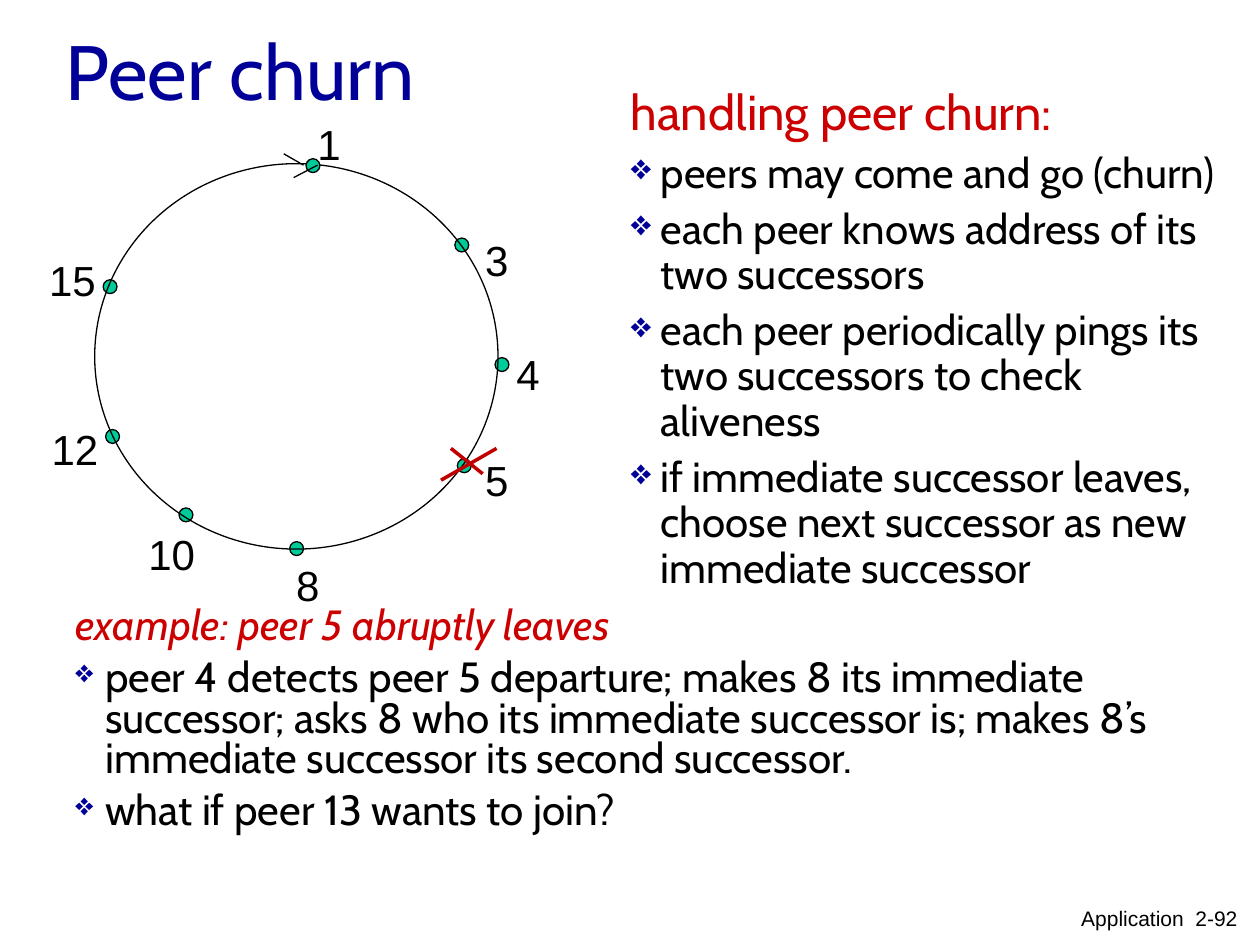
from lxml.etree import SubElement
from pptx import Presentation
from pptx.dml.color import RGBColor
from pptx.enum.shapes import MSO_CONNECTOR, MSO_SHAPE
from pptx.enum.text import MSO_ANCHOR, PP_ALIGN
from pptx.oxml.ns import qn
from pptx.util import Cm, Pt

COLORS = {
    "heading": "000099",
    "accent": "CC0000",
    "cross": "C00000",
    "peer": "00CC99",
    "ink": "000000",
}
DOT = 0.28
FIRST_PEER = ("1", (6.17, 3.2), (6.15, 2.26))
OTHER_PEERS = [
    ("3", (9.17, 4.8), (9.53, 4.6)),
    ("4", (9.98, 7.21), (10.16, 6.91)),
    ("5", (9.22, 9.25), (9.53, 9.04)),
    ("8", (5.84, 10.92), (5.72, 11.15)),
    ("10", (3.61, 10.24), (2.74, 10.52)),
    ("12", (2.13, 8.66), (0.79, 8.41)),
    ("15", (2.08, 5.64), (0.74, 5)),
]
ARROW_STROKES = [(5.72, 3.1, 6.12, 3.33), (6.4, 3.33, 5.92, 3.58)]
CROSS_STROKES = [(9.09, 9.04, 9.73, 9.55), (10.01, 9.04, 8.89, 9.68)]
HANDLING = [
    ["peers may come and go (churn)"],
    ["each peer knows address of its two successors"],
    ["each peer periodically pings its ", "two successors to check aliveness"],
    ["if immediate successor leaves, choose next successor as new immediate successor"],
]
EXAMPLE = [
    ["peer 4 detects peer 5 departure; makes 8 its immediate successor; asks 8 who "
     "its immediate successor is; makes 8’s immediate successor its second successor."],
    ["what if peer 13 wants to join?"],
]


def rgb(name):
    """Return the named colour."""
    return RGBColor.from_string(COLORS[name])


def add_frame(shapes, left, top, width, height, wrap=True):
    """Add a text box and return its text frame."""
    frame = shapes.add_textbox(Cm(left), Cm(top), Cm(width), Cm(height)).text_frame
    frame.word_wrap = wrap
    return frame


def write(paragraph, lines, size, font="Cabin", color="ink", italic=False, before=0, spacing=None):
    """Fill a paragraph with one run per line."""
    paragraph.space_before = Pt(before)
    if spacing:
        paragraph.line_spacing = spacing
    for index, line in enumerate(lines):
        if index:
            paragraph.add_line_break()
        run = paragraph.add_run()
        run.text = line
        run.font.size = Pt(size)
        run.font.name = font
        run.font.italic = italic
        run.font.color.rgb = rgb(color)


def add_bullets(frame, items, size, percent, before, spacing):
    """Append diamond-bulleted paragraphs with a hanging indent."""
    for lines in items:
        paragraph = frame.add_paragraph()
        write(paragraph, lines, size, before=before, spacing=spacing)
        properties = paragraph._p.get_or_add_pPr()
        indent = Cm(0.6)
        properties.set("marL", str(indent))
        properties.set("indent", str(-indent))
        bullet_color = SubElement(properties, qn("a:buClr"))
        SubElement(bullet_color, qn("a:srgbClr"), val=COLORS["heading"])
        SubElement(properties, qn("a:buSzPct"), val=str(percent * 1000))
        SubElement(properties, qn("a:buChar"), char="❖")


def add_circle(shapes, left, top, width, height, fill=None):
    """Add a thinly outlined ellipse."""
    circle = shapes.add_shape(MSO_SHAPE.OVAL, Cm(left), Cm(top), Cm(width), Cm(height))
    circle.shadow.inherit = False
    if fill:
        circle.fill.solid()
        circle.fill.fore_color.rgb = rgb(fill)
    else:
        circle.fill.background()
    circle.line.color.rgb = rgb("ink")
    circle.line.width = Pt(0.75)


def add_peer(shapes, peer):
    """Add a peer's dot and its number."""
    number, dot_at, label_at = peer
    add_circle(shapes, *dot_at, DOT, DOT, "peer")
    label = add_frame(shapes, *label_at, 0.49 + 0.48 * len(number), 1.27, wrap=False)
    write(label.paragraphs[0], [number], 24, "Arial", before=6)


def add_stroke(shapes, ends, color, width):
    """Add a straight line between two points."""
    stroke = shapes.add_connector(MSO_CONNECTOR.STRAIGHT, *map(Cm, ends))
    stroke.line.color.rgb = rgb(color)
    stroke.line.width = Pt(width)
    SubElement(stroke._element.spPr, qn("a:effectLst"))


def add_ring(shapes):
    """Draw the circle of peers, its arrow and the crossed-out peer."""
    ring = shapes.add_group_shape().shapes
    for peer in OTHER_PEERS:
        add_peer(ring, peer)
    add_circle(ring, 1.91, 3.3, 8.13, 7.77)
    add_peer(ring, FIRST_PEER)
    for ends in ARROW_STROKES:
        add_stroke(shapes, ends, "ink", 0.75)
    for ends in CROSS_STROKES:
        add_stroke(shapes, ends, "cross", 2)


def main():
    """Build the peer churn slide."""
    deck = Presentation()
    deck.slide_width, deck.slide_height = Cm(25.4), Cm(19.05)
    shapes = deck.slides.add_slide(deck.slide_layouts[6]).shapes

    title = add_frame(shapes, 1.07, 0, 22.86, 2.82)
    title.vertical_anchor = MSO_ANCHOR.MIDDLE
    write(title.paragraphs[0], ["Peer churn"], 44, color="heading")

    example = add_frame(shapes, 1.27, 12.14, 22.86, 5.92)
    write(example.paragraphs[0], ["example: peer 5 abruptly leaves"], 24.1,
          color="accent", italic=True, before=6.5, spacing=0.8)
    add_bullets(example, EXAMPLE, 24.1, 75, 6.5, 0.8)

    add_ring(shapes)

    handling = add_frame(shapes, 12.47, 1.52, 12.35, 14.53)
    write(handling.paragraphs[0], ["handling peer churn:"], 28, color="accent", before=7)
    add_bullets(handling, HANDLING, 24, 85, 6, Pt(26))

    footer = add_frame(shapes, 21.16, 18.14, 4.04, 0.79).paragraphs[0]
    footer.alignment = PP_ALIGN.RIGHT
    write(footer, ["Application  2-92"], 12, "Arial")

    deck.save("out.pptx")


if __name__ == "__main__":
    main()
